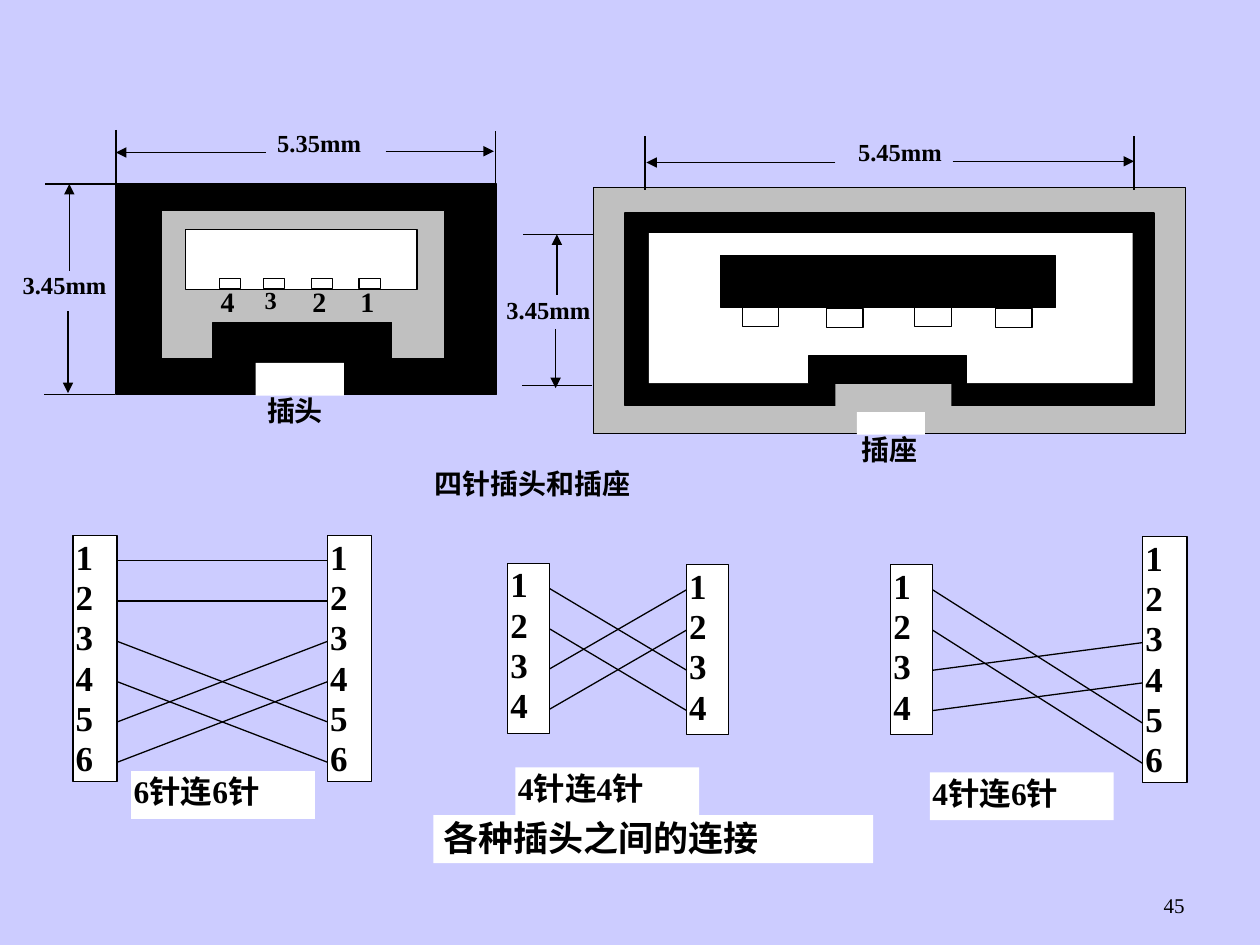
from dataclasses import dataclass
from lxml.etree import SubElement
from pptx import Presentation
from pptx.dml.color import RGBColor
from pptx.enum.shapes import MSO_CONNECTOR, MSO_SHAPE
from pptx.enum.text import MSO_ANCHOR, PP_ALIGN
from pptx.oxml.ns import qn
from pptx.util import Inches, Pt


@dataclass(frozen=True)
class Theme:
    font: str = "Times New Roman"
    background: RGBColor = RGBColor(0xCC, 0xCC, 0xFF)
    black: RGBColor = RGBColor(0, 0, 0)
    white: RGBColor = RGBColor(0xFF, 0xFF, 0xFF)
    gray: RGBColor = RGBColor(0xC0, 0xC0, 0xC0)
    page: int = 12
    dimension: int = 14
    label: int = 16
    caption: int = 18
    pin: int = 20
    line: float = 0.75


T = Theme()
TIGHT = (0.02, 0.01)
PIN_TOP, PIN_STEP = 0.2, 0.32


def write(sp, lines, size, bold=True, align=PP_ALIGN.JUSTIFY,
          anchor=MSO_ANCHOR.TOP, insets=TIGHT, spacing=None):
    tf = sp.text_frame
    side, edge = map(Inches, insets)
    frame = dict(word_wrap=True, vertical_anchor=anchor, margin_left=side,
                 margin_right=side, margin_top=edge, margin_bottom=edge)
    for name, value in frame.items():
        setattr(tf, name, value)
    tf.text = "\n".join(lines)
    for p in tf.paragraphs:
        p.alignment = align
        p.line_spacing = spacing
        for name, value in dict(name=T.font, size=Pt(size), bold=bold).items():
            setattr(p.font, name, value)
        p.font.color.rgb = T.black


def add_text(shapes, box, text, size, **options):
    write(shapes.add_textbox(*map(Inches, box)), [text], size, **options)


def add_rect(shapes, box, fill, outlined=True):
    sp = shapes.add_shape(MSO_SHAPE.RECTANGLE, *map(Inches, box))
    sp.shadow.inherit = False
    sp.fill.solid()
    sp.fill.fore_color.rgb = fill
    if outlined:
        sp.line.color.rgb = T.black
        sp.line.width = Pt(T.line)
    else:
        sp.line.fill.background()
    return sp


def add_line(shapes, x1, y1, x2, y2, arrow=False):
    cx = shapes.add_connector(MSO_CONNECTOR.STRAIGHT,
                              *map(Inches, (x1, y1, x2, y2)))
    cx.line.color.rgb = T.black
    cx.line.width = Pt(T.line)
    if arrow:
        SubElement(cx.line._get_or_add_ln(), qn("a:tailEnd"), type="triangle")
    SubElement(cx._element.spPr, qn("a:effectLst"))


def add_dimension(shapes, text, at, extensions, arrows):
    """Measure with extension lines, outward arrows and a value between."""
    for ends in extensions:
        add_line(shapes, *ends)
    for ends in arrows:
        add_line(shapes, *ends, arrow=True)
    add_text(shapes, (*at, 0.74, 0.31), text, T.dimension)


def add_plug(shapes):
    for box, fill, outlined in (
            ((0.92, 1.46, 3.02, 1.67), T.black, True),
            ((2.03, 2.88, 0.7, 0.26), T.white, False),
            ((1.28, 1.67, 2.25, 1.18), T.gray, True),
            ((1.69, 2.56, 1.42, 0.3), T.black, True),
            ((1.47, 1.82, 1.84, 0.48), T.white, True)):
        add_rect(shapes, box, fill, outlined)
    for number, x in zip("4321", (1.74, 2.09, 2.47, 2.85)):
        add_rect(shapes, (x, 2.21, 0.17, 0.08), T.white)
        size = T.dimension if number == "3" else T.label
        add_text(shapes, (x - 0.01, 2.25, 0.25, 0.31), number, size)
    add_dimension(shapes, "5.35mm", (2.18, 1.01),
                  [(0.92, 1.03, 0.92, 1.46), (3.93, 1.04, 3.93, 1.47)],
                  [(3.06, 1.2, 3.92, 1.2), (2.11, 1.21, 0.92, 1.21)])
    add_dimension(shapes, "3.45mm", (0.16, 2.13),
                  [(0.92, 1.46, 0.36, 1.46), (0.91, 3.13, 0.35, 3.13)],
                  [(0.55, 2.15, 0.55, 1.46), (0.54, 2.47, 0.54, 3.12)])
    add_text(shapes, (2.1, 3.11, 0.5, 0.31), "插头", T.label)


def add_socket(shapes):
    for box, fill, outlined in (
            ((4.71, 1.49, 4.7, 1.95), T.gray, True),
            ((6.8, 3.27, 0.54, 0.18), T.white, False),
            ((4.96, 1.69, 4.2, 1.53), T.black, True),
            ((6.63, 3.04, 0.92, 0.19), T.gray, False),
            ((5.15, 1.85, 3.84, 1.19), T.white, False),
            ((6.42, 2.82, 1.25, 0.22), T.black, True),
            ((5.72, 2.03, 2.66, 0.41), T.black, True)):
        add_rect(shapes, box, fill, outlined)
    for x, y in ((5.89, 2.44), (6.56, 2.45), (7.26, 2.44), (7.9, 2.45)):
        add_rect(shapes, (x, y, 0.29, 0.15), T.white)
    add_dimension(shapes, "5.45mm", (6.79, 1.08),
                  [(5.12, 1.08, 5.12, 1.51), (9, 1.08, 9, 1.51)],
                  [(7.56, 1.28, 9, 1.28), (6.63, 1.29, 5.13, 1.29)])
    add_dimension(shapes, "3.45mm", (4, 2.33),
                  [(4.71, 1.86, 4.15, 1.86), (4.7, 3.06, 4.14, 3.06)],
                  [(4.42, 2.34, 4.42, 1.86), (4.41, 2.61, 4.41, 3.08)])
    add_text(shapes, (6.82, 3.42, 0.5, 0.31), "插座", T.label)


def add_pin_block(shapes, x, y, count):
    """Draw a numbered block of pins and return its right edge."""
    width, height = {4: (0.33, 1.35), 6: (0.35, 1.95)}[count]
    sp = add_rect(shapes, (x, y, width, height), T.white)
    write(sp, [str(n) for n in range(1, count + 1)], T.pin,
          spacing=Inches(PIN_STEP))
    return x + width


def add_caption(shapes, box, text, size):
    sp = add_rect(shapes, box, T.white, outlined=False)
    write(sp, [text], size)
    return sp


def add_wiring(shapes, left, right, wires, caption, at):
    """Join two pin blocks, each (x, y, count), by (from pin, to pin) wires."""
    start = add_pin_block(shapes, *left)
    add_pin_block(shapes, *right)
    for a, b in wires:
        add_line(shapes,
                 start, left[1] + PIN_TOP + PIN_STEP * (a - 1),
                 right[0], right[1] + PIN_TOP + PIN_STEP * (b - 1))
    add_caption(shapes, (*at, 1.46, 0.38), caption, T.caption)


def main():
    prs = Presentation()
    prs.slide_width, prs.slide_height = Inches(10), Inches(7.5)
    s = prs.slides.add_slide(prs.slide_layouts[6])
    s.background.fill.solid()
    s.background.fill.fore_color.rgb = T.background

    connectors = s.shapes.add_group_shape().shapes
    add_plug(connectors)
    add_socket(connectors)
    add_text(connectors, (3.43, 3.69, 2.3, 0.31), "四针插头和插座", T.label)

    wiring = s.shapes.add_group_shape().shapes
    crossed = [(1, 3), (2, 4), (3, 1), (4, 2)]
    add_wiring(wiring, (0.58, 4.25, 6), (2.6, 4.25, 6),
               [(1, 1), (2, 2)] + [(a + 2, b + 2) for a, b in crossed],
               "6针连6针", (1.04, 6.12))
    add_wiring(wiring, (4.03, 4.47, 4), (5.45, 4.48, 4), crossed,
               "4针连4针", (4.09, 6.09))
    add_wiring(wiring, (7.07, 4.48, 4), (9.07, 4.26, 6),
               [(1, 5), (2, 6), (3, 3), (4, 4)], "4针连6针", (7.38, 6.13))
    summary = add_caption(wiring, (3.44, 6.47, 3.49, 0.38),
                          "各种插头之间的连接", T.pin)
    summary.text_frame.margin_left = Inches(0.08)

    add_text(s.shapes, (7.17, 6.83, 2.33, 0.5), "45", T.page, bold=False,
             align=PP_ALIGN.RIGHT, anchor=MSO_ANCHOR.BOTTOM,
             insets=(0.1, 0.05))
    prs.save("out.pptx")


if __name__ == "__main__":
    main()
